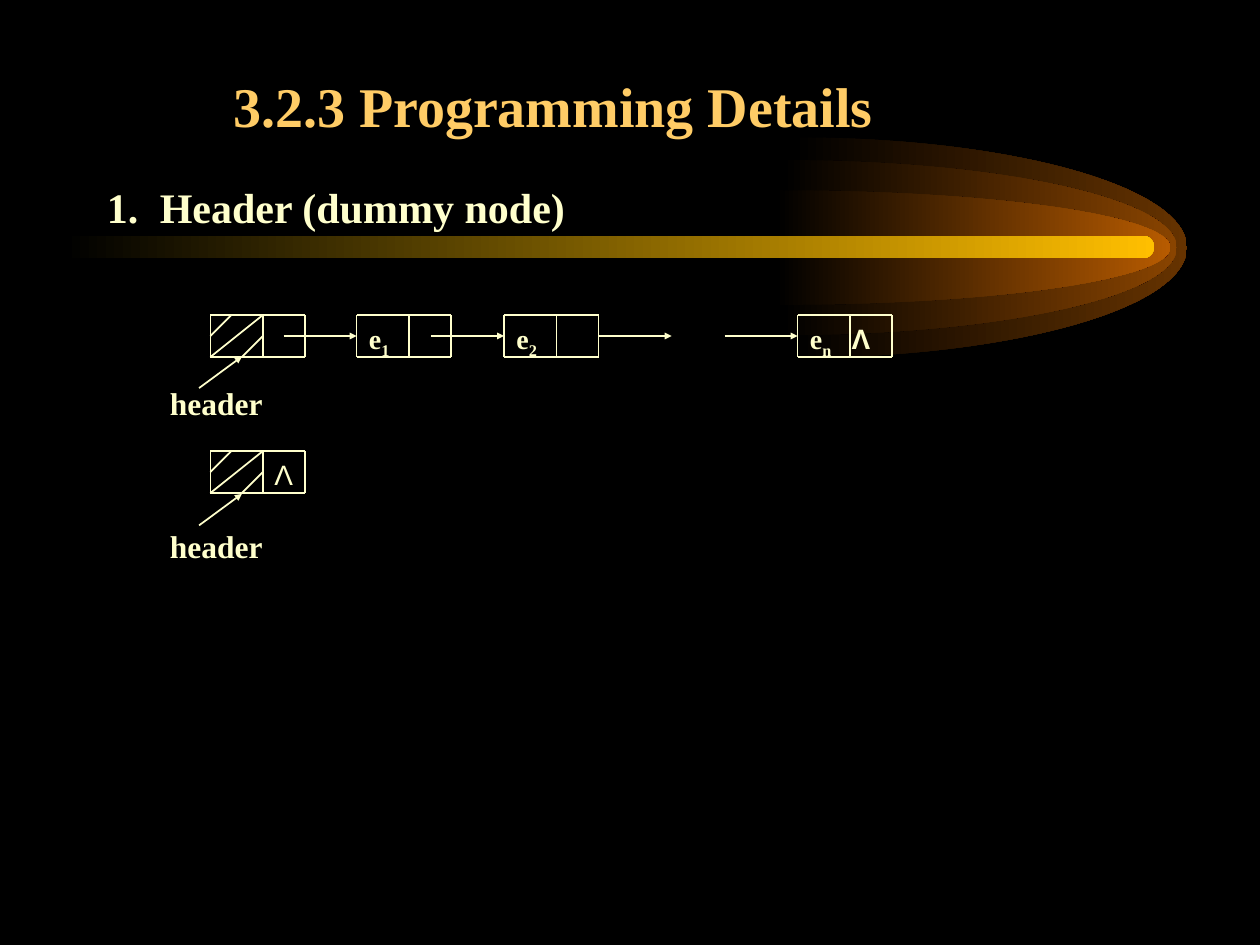
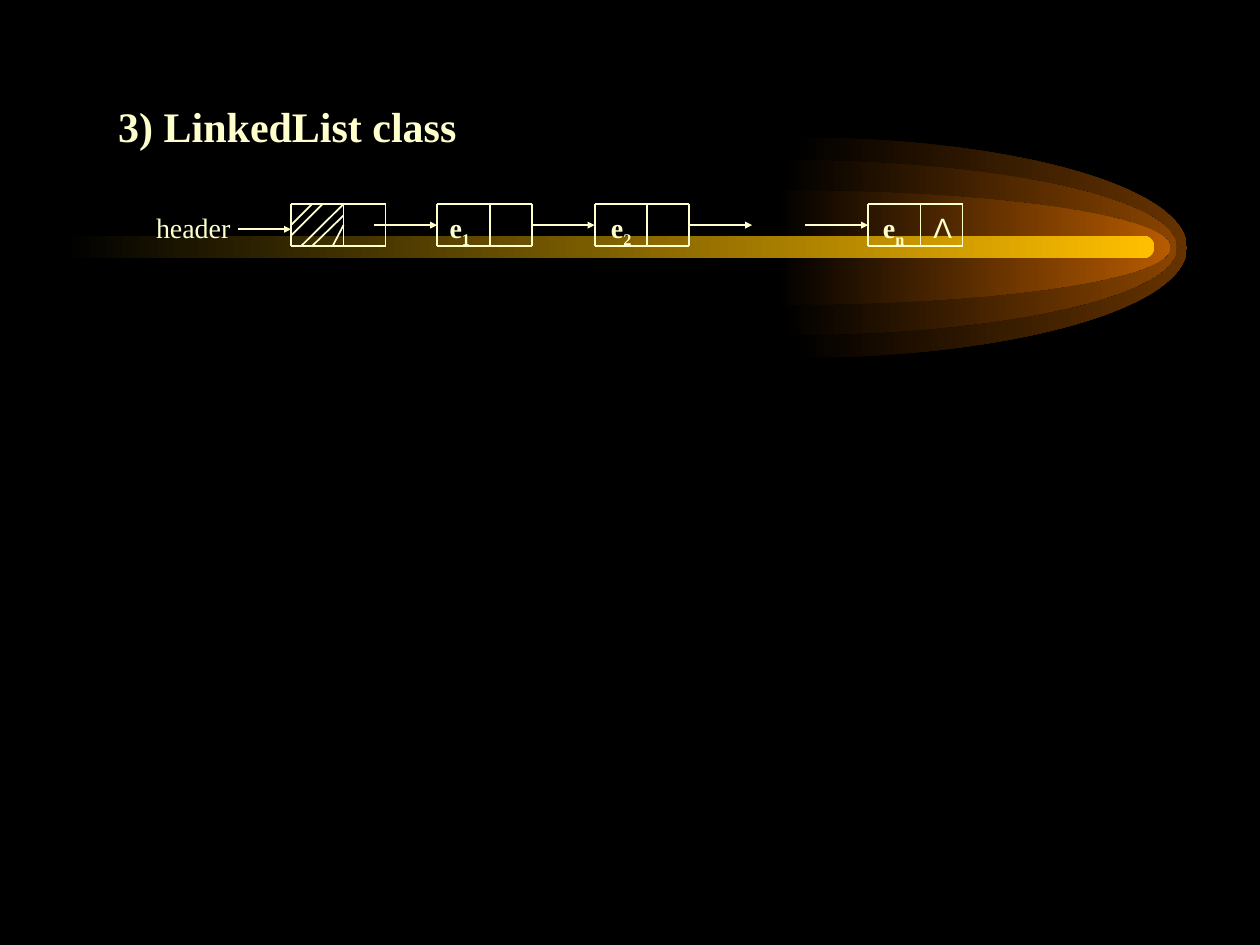
"""Build two slides on linked lists with a header node."""
from lxml import etree
from pptx import Presentation
from pptx.dml.color import RGBColor
from pptx.enum.shapes import MSO_CONNECTOR, MSO_SHAPE
from pptx.enum.text import MSO_ANCHOR, PP_ALIGN
from pptx.oxml.ns import qn
from pptx.util import Inches, Pt

STRAIGHT = MSO_CONNECTOR.STRAIGHT
ROUNDED = MSO_SHAPE.ROUNDED_RECTANGLE
BOTTOM = MSO_ANCHOR.BOTTOM
LEFT = PP_ALIGN.LEFT

COLORS = {
    "background": "000000",
    "title": "FFCC66",
    "ink": "FFFFCC",
    "outer glow": "663300",
    "middle glow": "894400",
    "inner glow": "B75B00",
    "beam": "FFBF00",
}
SERIF, SANS = "Times New Roman", "Arial"
NODE_WIDTH, NODE_HEIGHT, DIVIDER = 3 / 4, 1 / 3, 5 / 12
MIDDLE = NODE_HEIGHT / 2
CURVE = 0.5523


def add_line(slide, x1, y1, x2, y2, arrow=False):
    line = slide.shapes.add_connector(
        STRAIGHT, Inches(x1), Inches(y1), Inches(x2), Inches(y2))
    line.line.color.rgb = RGBColor.from_string(COLORS["ink"])
    line.line.width = Pt(1)
    properties = line.element.spPr
    if arrow:
        etree.SubElement(properties.find(qn("a:ln")), qn("a:tailEnd"),
                         type="triangle", w="sm", len="sm")
    etree.SubElement(properties, qn("a:effectLst"))


def add_label(slide, text, x, y, width, height=0.41, size=16, bold=True,
              font=SERIF, subscript="", ending=""):
    box = slide.shapes.add_textbox(Inches(x), Inches(y), Inches(width), Inches(height))
    box.text_frame.word_wrap = True
    box.text_frame.text = text
    paragraph = box.text_frame.paragraphs[0]
    for extra in filter(None, (subscript, ending)):
        paragraph.add_run().text = extra
    for run in paragraph.runs:
        run.font.name = font
        run.font.size = Pt(size)
        run.font.bold = bold
        run.font.color.rgb = RGBColor.from_string(COLORS["ink"])
    if subscript:
        paragraph.runs[1]._r.get_or_add_rPr().set("baseline", "-25000")
    if ending:
        paragraph.runs[2].font.name = SANS
        tabs = etree.SubElement(paragraph._p.get_or_add_pPr(), qn("a:tabLst"))
        etree.SubElement(tabs, qn("a:tab"), pos=str(Inches(0.33)), algn="l")
    return paragraph


prs = Presentation()
prs.slide_width, prs.slide_height = Inches(10), Inches(7.5)
master = prs.slide_master
master.background.fill.solid()
master.background.fill.fore_color.rgb = RGBColor.from_string(COLORS["background"])

details = prs.slides.add_slide(prs.slide_layouts[5])
linked_list = prs.slides.add_slide(prs.slide_layouts[6])

comet = []
for left, top, height, color in (
    (6.29, 1.09, 1.75, "outer glow"),
    (6.21, 1.27, 1.39, "middle glow"),
    (6.16, 1.51, 0.91, "inner glow"),
):
    reach, radius = Inches(3.13), Inches(height / 2)
    builder = details.shapes.build_freeform(Inches(left), Inches(top))
    builder.add_line_segments([
        (Inches(left) + reach, Inches(top) + radius),
        (Inches(left), Inches(top) + 2 * radius)])
    glow = builder.convert_to_shape()
    quarters = (
        ((reach * CURVE, 0), (reach, radius * (1 - CURVE)), (reach, radius)),
        ((reach, radius * (1 + CURVE)), (reach * CURVE, 2 * radius), (0, 2 * radius)),
    )
    for segment, points in zip(list(glow.element.iter(qn("a:lnTo"))), quarters):
        curve = etree.Element(qn("a:cubicBezTo"))
        for x, y in points:
            etree.SubElement(curve, qn("a:pt"), x=str(int(x)), y=str(int(y)))
        segment.getparent().replace(segment, curve)
    comet.append((glow, color))
beam = details.shapes.add_shape(ROUNDED, Inches(0.5), Inches(1.87), Inches(8.66), Inches(0.18))
beam.adjustments[0] = 0.5
comet.append((beam, "beam"))

for position, (part, color) in enumerate(comet, start=2):
    part.shadow.inherit = False
    part.line.fill.background()
    part.fill.gradient()
    part.fill.gradient_angle = 0
    for stop, name in zip(part.fill.gradient_stops, ("background", color)):
        stop.color.rgb = RGBColor.from_string(COLORS[name])
    master.shapes.element.insert(position, part.element)

title = details.shapes.title
title.left, title.top = Inches(0.75), Inches(0.32)
title.width, title.height = Inches(8.5), Inches(0.83)
title.text_frame.text = "3.2.3 Programming Details"
title.text_frame.vertical_anchor = BOTTOM
heading = title.text_frame.paragraphs[0]
heading.alignment = LEFT
heading.runs[0].font.name = SERIF
heading.runs[0].font.size = Pt(32)
heading.runs[0].font.bold = True
heading.runs[0].font.color.rgb = RGBColor.from_string(COLORS["title"])

topic = add_label(details, "1.\tHeader (dummy node)", 0.75, 1.39, 8.5, 5.33, size=24)
section = add_label(linked_list, "3) LinkedList class", 0.67, 0.75, 8.5, 6.33, size=24)
for paragraph, margin, indent in ((heading, 1, 0), (topic, 0.42, -0.42), (section, 0.17, 0)):
    layout = paragraph._p.get_or_add_pPr()
    layout.set("marL", str(Inches(margin)))
    layout.set("indent", str(Inches(indent)))

wide_hatch = ((MIDDLE, 0, 0, MIDDLE), (DIVIDER, 0, 0, NODE_HEIGHT),
              (DIVIDER, MIDDLE, 0.25, NODE_HEIGHT))
dense_hatch = ((MIDDLE, 0, 0, MIDDLE), (0.25, 0, 0, 0.25),
               (DIVIDER, 0, 0.08, NODE_HEIGHT), (DIVIDER, 0.09, MIDDLE, NODE_HEIGHT),
               (DIVIDER, MIDDLE, 0.33, NODE_HEIGHT))
chains = (
    {"slide": details, "top": 2.5, "nodes": (1.67, 2.83, 4, 6.33), "hatch": wide_hatch,
     "links": (2.25, 3.42, 4.75, 5.75), "reach": 0.58,
     "elements": ((2.83, 0.67, "1", ""), (4, 0.92, "2", ""), (6.33, 0.75, "n", "\tΛ")),
     "header": (1.25, 3, 1, 0.4, 18, True), "pointer": (1.58, 3.08, 1.92, 2.83)},
    {"slide": details, "top": 3.58, "nodes": (1.67,), "hatch": wide_hatch,
     "links": (), "reach": 0, "elements": (),
     "header": (1.25, 4.13, 1, 0.4, 18, True), "pointer": (1.58, 4.17, 1.92, 3.92),
     "end": 2.08},
    {"slide": linked_list, "top": 1.62, "nodes": (2.31, 3.47, 4.72, 6.89),
     "hatch": dense_hatch, "links": (2.97, 4.22, 5.47, 6.39), "reach": 0.5,
     "elements": ((3.47, 0.73, "1", ""), (4.75, 0.73, "2", ""), (6.91, 0.73, "n", "")),
     "header": (1.14, 1.62, 0.83, 0.37, 16, False), "pointer": (1.89, 1.82, 2.31, 1.82),
     "end": 7.31},
)

for chain in chains:
    slide, top = chain["slide"], chain["top"]
    for left in chain["nodes"]:
        for edge in (top, top + NODE_HEIGHT):
            add_line(slide, left, edge, left + NODE_WIDTH, edge)
        for offset in (0, DIVIDER, NODE_WIDTH):
            add_line(slide, left + offset, top, left + offset, top + NODE_HEIGHT)
    for link in chain["links"]:
        add_line(slide, link, top + MIDDLE, link + chain["reach"], top + MIDDLE, arrow=True)
    for left, width, index, ending in chain["elements"]:
        add_label(slide, "e", left, top, width, subscript=index, ending=ending)
    add_label(slide, "header", *chain["header"])
    add_line(slide, *chain["pointer"], arrow=True)
    dummy = chain["nodes"][0]
    for x1, y1, x2, y2 in chain["hatch"]:
        add_line(slide, dummy + x1, top + y1, dummy + x2, top + y2)
    if "end" in chain:
        add_label(slide, "Λ", chain["end"], top, 0.33, 0.37, bold=False, font=SANS)

prs.save("out.pptx")
